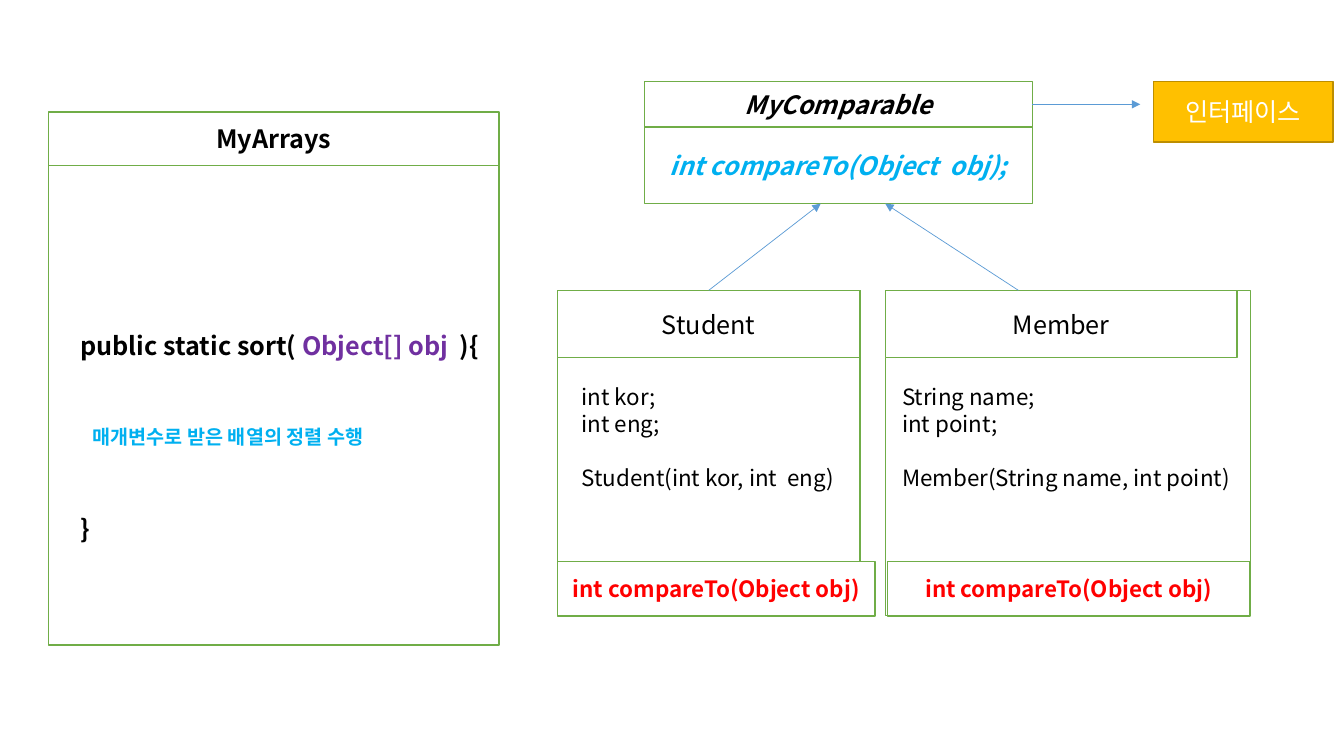
from lxml.etree import SubElement as Sub
from pptx import Presentation
from pptx.dml.color import RGBColor as RGB
from pptx.enum.shapes import MSO_CONNECTOR as CONN, MSO_SHAPE as SHAPE
from pptx.enum.text import MSO_ANCHOR as ANCHOR, PP_ALIGN as ALIGN
from pptx.oxml.ns import qn
from pptx.util import Inches, Pt

FONT = "Noto Sans CJK KR"
HEX = {
    "white": "FFFFFF", "black": "000000", "green": "70AD47", "blue": "5B9BD5",
    "sky": "00B0F0", "red": "FF0000", "purple": "7030A0",
    "gold": "FFC000", "brown": "BD8E00",
}


def color(name):
    return RGB.from_string(HEX[name])


def style(para, size, tint="black", bold=False, italic=False):
    font = para.font
    font.name, font.size = FONT, Pt(size)
    font.bold, font.italic = bold, italic
    font.color.rgb = color(tint)
    Sub(font._element, qn("a:ea")).set("typeface", FONT)


def rect(slide, box, text="", size=18, tint="black", bold=False,
         italic=False, fill="white", edge="green"):
    shape = slide.shapes.add_shape(SHAPE.RECTANGLE, *map(Inches, box))
    shape.shadow.inherit = False
    shape.fill.solid()
    shape.fill.fore_color.rgb = color(fill)
    shape.line.color.rgb = color(edge)
    shape.line.width = Pt(1)
    if text:
        frame = shape.text_frame
        frame.vertical_anchor = ANCHOR.MIDDLE
        para = frame.paragraphs[0]
        para.text, para.alignment = text, ALIGN.CENTER
        style(para, size, tint, bold, italic)
    return shape


def arrow(slide, start, end):
    line = slide.shapes.add_connector(CONN.STRAIGHT, *map(Inches, start + end))
    line.line.color.rgb = color("blue")
    line.line.width = Pt(0.5)
    Sub(line.line._get_or_add_ln(), qn("a:tailEnd")).set("type", "triangle")
    Sub(line._element.spPr, qn("a:effectLst"))
    return line


def lines(slide, box, texts):
    """Add a text box with one paragraph per text and return the paragraphs."""
    frame = slide.shapes.add_textbox(*map(Inches, box)).text_frame
    frame.word_wrap = True
    frame.text = "\n".join(texts)
    return frame.paragraphs


def arrays(slide, box):
    """Class with the sort method."""
    x, y, w, h = box
    head = 0.53
    rect(slide, (x, y + head, w, h - head))
    rect(slide, (x, y, w, head), "MyArrays", bold=True)
    sort, note, end = lines(slide, (x + 0.22, y + 2.12, w - 0.21, 2.22),
                            ["", "매개변수로 받은 배열의 정렬 수행", "}"])
    for text, tint in (("public static sort( ", "black"),
                       ("Object[] obj  ", "purple"), ("){", "black")):
        run = sort.add_run()
        run.text = text
        run.font.color.rgb = color(tint)
    style(sort, 18, bold=True)
    style(note, 14, "sky", bold=True)
    style(end, 18, bold=True)
    note.space_before = end.space_before = Pt(46)
    note._p.get_or_add_pPr().set("marL", str(Inches(0.12)))


def contract(slide, box):
    """Interface with its label."""
    x, y, w, h = box
    head = 0.45
    rect(slide, (x, y + head, w, h - head), "int compareTo(Object  obj);",
         tint="sky", bold=True, italic=True)
    name = rect(slide, (x, y, w, head), "MyComparable", bold=True, italic=True)
    mid = y + head / 2
    arrow(slide, (x + w, mid), (x + w + 1.07, mid)).begin_connect(name, 3)
    rect(slide, (x + w + 1.2, y, 1.78, 0.6), "인터페이스",
         tint="white", fill="gold", edge="brown")


def entity(slide, box, name, wide, foot, note, fields, maker):
    """Class that implements the interface; foot and note are (dx, width)."""
    x, y, w, h = box
    rect(slide, box)
    head = rect(slide, (x, y, wide, 0.67), name)
    rect(slide, (x + foot[0], y + h - 0.54, foot[1], 0.54),
         "int compareTo(Object obj)", 16, "red", bold=True)
    paras = lines(slide, (x + note[0], y + 0.87, note[1], 1.18),
                  fields + [maker])
    for para in paras:
        style(para, 16)
    paras[-1].space_before = Pt(19.3)
    return head


def main():
    deck = Presentation()
    deck.slide_width, deck.slide_height = Inches(13.33), Inches(7.5)
    slide = deck.slides.add_slide(deck.slide_layouts[6])

    contract(slide, (6.39, 0.81, 3.85, 1.21))
    student = entity(slide, (5.53, 2.88, 3, 3.23), "Student", 3,
                     (0, 3.15), (0.14, 2.96),
                     ["int kor;", "int eng;"], "Student(int kor, int  eng)")
    entity(slide, (8.78, 2.88, 3.62, 3.23), "Member", 3.49,
           (0.02, 3.6), (0.07, 3.56),
           ["String name;", "int point;"], "Member(String name, int point)")

    # Implementation arrows
    arrow(slide, (7.03, 2.88), (8.14, 2.02)).begin_connect(student, 0)
    arrow(slide, (10.1, 2.88), (8.78, 2.02))

    arrays(slide, (0.48, 1.11, 4.47, 5.29))
    deck.save("out.pptx")


if __name__ == "__main__":
    main()
